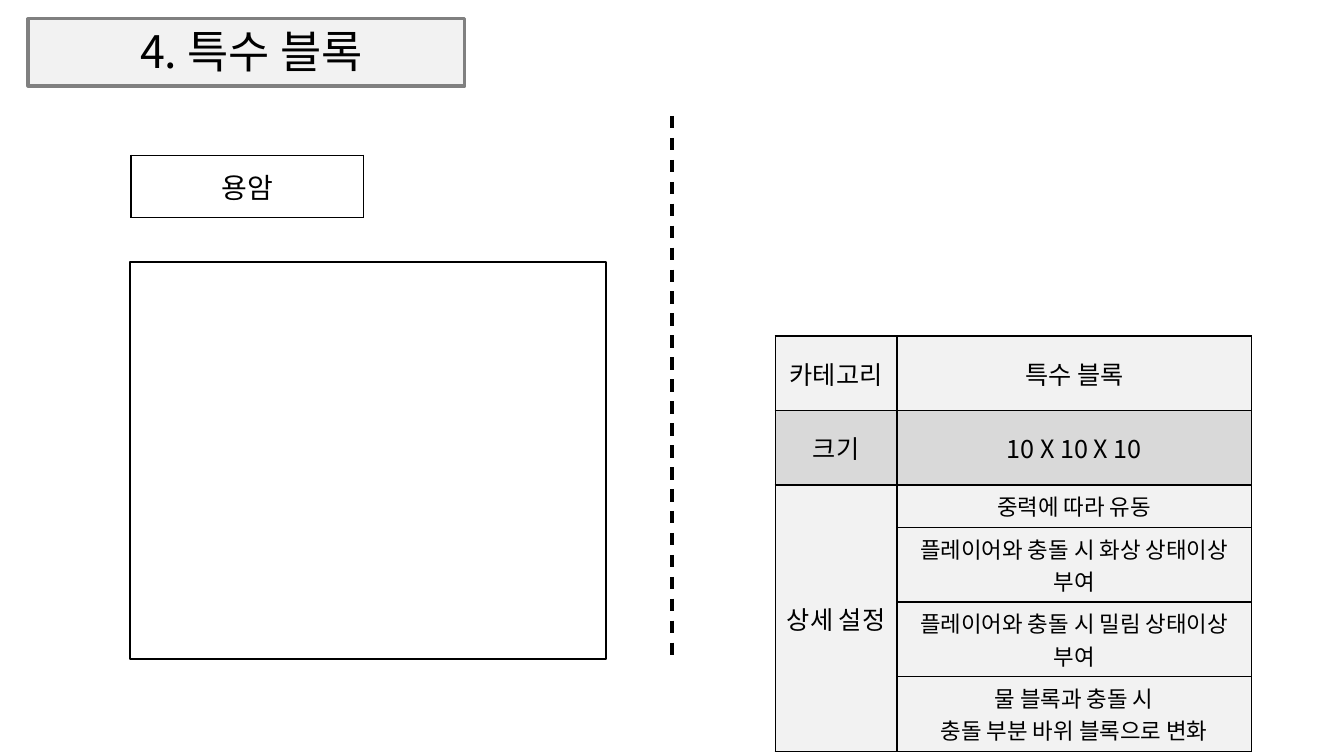
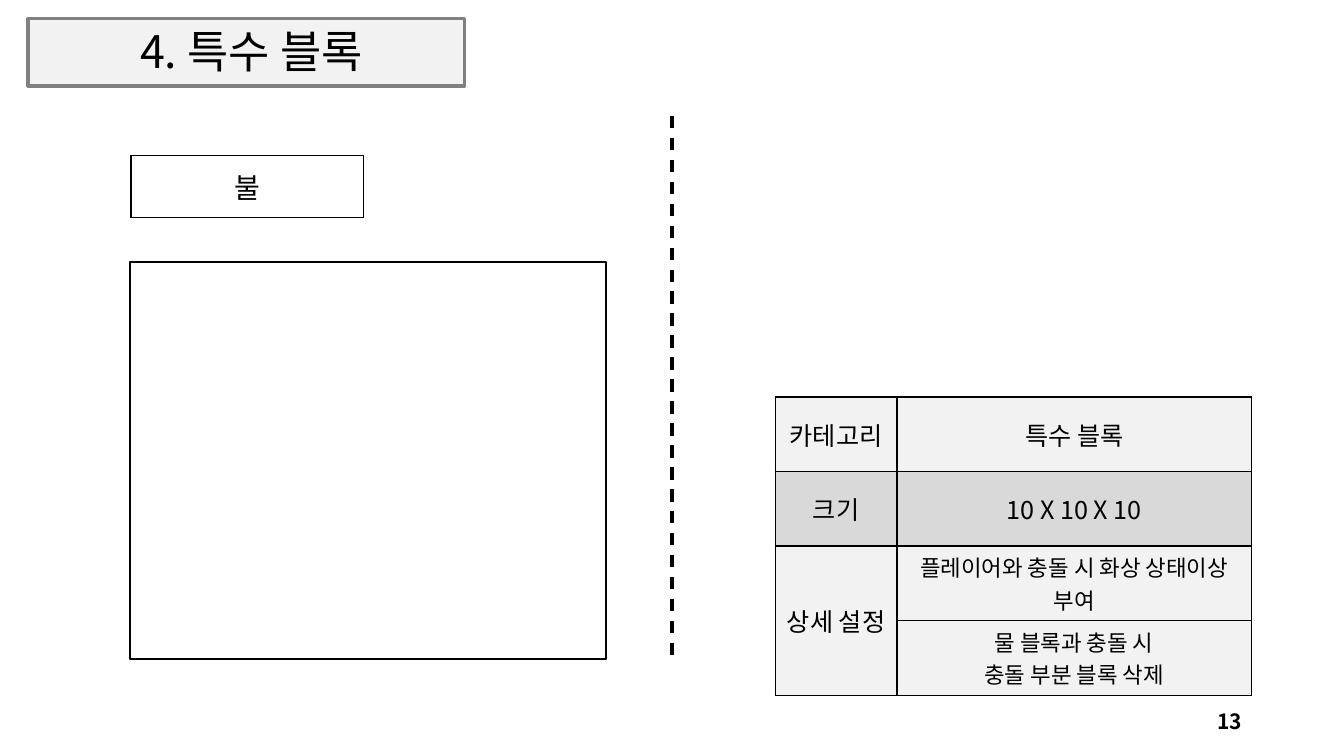
from lxml.etree import SubElement
from pptx import Presentation
from pptx.dml.color import RGBColor
from pptx.enum.dml import MSO_LINE
from pptx.enum.shapes import MSO_CONNECTOR, MSO_SHAPE
from pptx.enum.text import MSO_ANCHOR, MSO_AUTO_SIZE, PP_ALIGN
from pptx.oxml import parse_xml
from pptx.oxml.ns import nsdecls, qn
from pptx.util import Pt

FONT = "Noto Sans CJK KR"
BLACK, WHITE, LIGHT, MIDDLE, GRAY = "000000", "FFFFFF", "F2F2F2", "D9D9D9", "808080"
TITLE = "4. 특수 블록"
PROPERTIES = [("카테고리", "특수 블록", LIGHT), ("크기", "10 X 10 X 10", MIDDLE)]
DETAIL_LABEL = "상세 설정"
BURN = "플레이어와 충돌 시 화상 상태이상 부여"
BLOCKS = [
    {"name": "용암", "top": 240, "number": None, "details": [
        ("중력에 따라 유동", 1),
        (BURN, 2),
        ("플레이어와 충돌 시 밀림 상태이상 부여", 2),
        ("물 블록과 충돌 시\n충돌 부분 바위 블록으로 변화", 2)]},
    {"name": "불", "top": 283.6, "number": "13", "details": [
        (BURN, 2),
        ("물 블록과 충돌 시\n충돌 부분 블록 삭제", 2)]},
]
BAND = (20, 13.5, 312, 48)
TITLE_AREA = (30.2, 13, 298.8, 46.8)
NAME_AREA = (93.6, 110.9, 166.3, 44.6)
PICTURE_FRAME = (92.9, 187.2, 339.8, 283.7)
NUMBER_AREA = (678.2, 500.4, 216, 28.8)
DIVIDER = (480, 82.8, 480, 470.9)
TABLE_LEFT, COLUMNS, ROW_HEIGHT = 553.7, (87, 253.2), 53.2
DETAIL_HEIGHTS = {1: 30, 2: 53.3}


def points(values):
    return [Pt(value) for value in values]


def color(code):
    return RGBColor.from_string(code)


def style_text(frame, size, align=PP_ALIGN.CENTER, bold=False, spacing=None):
    looks = {"size": Pt(size), "name": FONT, "bold": bold}
    for para in frame.paragraphs:
        para.alignment = align
        para.line_spacing = spacing
        for span in para.runs:
            for name, value in looks.items():
                setattr(span.font, name, value)
            span.font.color.rgb = color(BLACK)
            SubElement(span.font._element, qn("a:ea"), typeface=FONT)


def add_frame(page, area, line, width, fill=None):
    box = page.shapes.add_shape(MSO_SHAPE.RECTANGLE, *points(area))
    box.shadow.inherit = False
    if fill:
        box.fill.solid()
        box.fill.fore_color.rgb = color(fill)
    else:
        box.fill.background()
    box.line.color.rgb = color(line)
    box.line.width = Pt(width)
    return box


def add_divider(page):
    line = page.shapes.add_connector(MSO_CONNECTOR.STRAIGHT, *points(DIVIDER))
    line.line.color.rgb = color(BLACK)
    line.line.width = Pt(2.25)
    line.line.dash_style = MSO_LINE.DASH
    SubElement(line.element.spPr, qn("a:effectLst"))


def fill_cell(cell, text, size, fill):
    cell.text = text
    cell.vertical_anchor = MSO_ANCHOR.MIDDLE
    cell.fill.solid()
    cell.fill.fore_color.rgb = color(fill)
    style_text(cell.text_frame, size)
    properties = cell._tc.get_or_add_tcPr()
    for index, side in enumerate(("lnL", "lnR", "lnT", "lnB")):
        properties.insert(index, parse_xml(
            f'<a:{side} {nsdecls("a")} w="{Pt(1)}"><a:solidFill>'
            f'<a:srgbClr val="{BLACK}"/></a:solidFill></a:{side}>'))


def add_grid(page, left, top, columns, heights):
    area = points((left, top, sum(columns), sum(heights)))
    table = page.shapes.add_table(len(heights), len(columns), *area).table
    table.first_row = table.horz_banding = False
    for column, width in zip(table.columns, columns):
        column.width = Pt(width)
    for row, height in zip(table.rows, heights):
        row.height = Pt(height)
    return table


def add_property_table(page, block):
    details = block["details"]
    first = len(PROPERTIES)
    heights = [ROW_HEIGHT] * first + [DETAIL_HEIGHTS[lines] for _, lines in details]
    table = add_grid(page, TABLE_LEFT, block["top"], COLUMNS, heights)
    for row, (label, value, fill) in enumerate(PROPERTIES):
        fill_cell(table.cell(row, 0), label, 18, fill)
        fill_cell(table.cell(row, 1), value, 18, fill)
    for row, (text, _) in enumerate(details, first):
        fill_cell(table.cell(row, 0), DETAIL_LABEL if row == first else "", 18, LIGHT)
        fill_cell(table.cell(row, 1), text, 16, LIGHT)
    table.cell(first, 0).merge(table.cell(len(heights) - 1, 0))


def add_number(page, number):
    box = page.shapes.add_textbox(*points(NUMBER_AREA))
    frame = box.text_frame
    frame.word_wrap = True
    frame.vertical_anchor = MSO_ANCHOR.MIDDLE
    frame.text = number
    style_text(frame, 15, PP_ALIGN.RIGHT, True)


def build_page(deck, layout, block):
    page = deck.slides.add_slide(layout)
    frame = page.shapes.title.text_frame
    frame.text = TITLE
    frame.auto_size = MSO_AUTO_SIZE.NONE
    frame.vertical_anchor = MSO_ANCHOR.BOTTOM
    style_text(frame, 32, spacing=0.9)
    if block["number"]:
        add_number(page, block["number"])
    add_divider(page)
    left, top, width, height = NAME_AREA
    name_table = add_grid(page, left, top, [width], [height])
    fill_cell(name_table.cell(0, 0), block["name"], 20, WHITE)
    add_property_table(page, block)
    add_frame(page, PICTURE_FRAME, BLACK, 1.5)
    return page


def main():
    """Build the special block slides."""
    deck = Presentation()
    deck.slide_width, deck.slide_height = points((960, 540))
    layout = deck.slide_layouts.get_by_name("Title Only")
    title = layout.placeholders[0]
    title.left, title.top, title.width, title.height = points(TITLE_AREA)
    pages = [build_page(deck, layout, block) for block in BLOCKS]
    band = add_frame(pages[0], BAND, GRAY, 2.25, LIGHT)
    layout.shapes.element.insert(2, band.element)
    deck.save("out.pptx")


if __name__ == "__main__":
    main()
